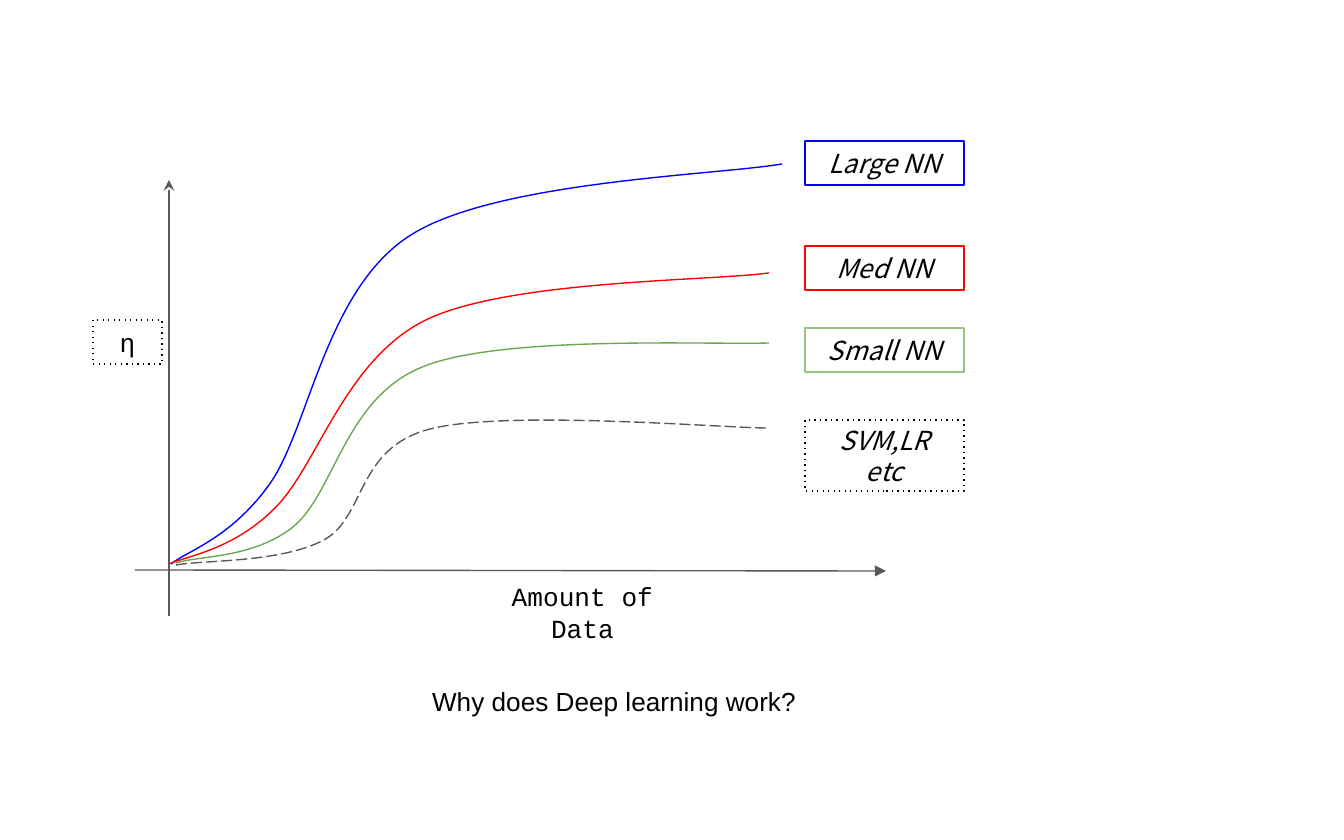
from lxml.etree import SubElement
from pptx import Presentation
from pptx.dml.color import RGBColor
from pptx.enum.shapes import MSO_CONNECTOR as Link, MSO_SHAPE as Kind
from pptx.enum.text import MSO_ANCHOR as Anchor, PP_ALIGN as Align
from pptx.oxml.ns import qn
from pptx.util import Pt

SCALE = 914400 / 134.4
BLACK = RGBColor(0x00, 0x00, 0x00)
GRAY = RGBColor(0x59, 0x59, 0x59)
BLUE = RGBColor(0x00, 0x00, 0xFF)
RED = RGBColor(0xFF, 0x00, 0x00)
GREEN = RGBColor(0x6A, 0xA8, 0x4F)
LIME = RGBColor(0x93, 0xC4, 0x7D)
SANS, MONO, NOTO = "Arial", "Courier New", "Noto Sans CJK KR"

# Each curve: start point, then two controls and an end per Bezier piece
CURVES = [
    (BLUE, None, [(171, 564), (187, 551), (230, 539), (269, 485), (309, 430),
                  (325, 289), (411, 235), (496, 181), (720, 175), (782, 164)]),
    (RED, None, [(169, 564), (187, 556), (233, 550), (274, 509), (317, 468),
                 (344, 360), (426, 320), (508, 280), (712, 281), (769, 273)]),
    (GREEN, None, [(176, 563), (195, 556), (253, 559), (293, 527), (335, 493),
                   (345, 396), (425, 366), (504, 335), (712, 345), (769, 343)]),
    (GRAY, "lgDash", [(176, 565), (202, 560), (281, 563), (324, 540), (366, 517),
                      (356, 448), (430, 429), (504, 410), (710, 427), (766, 428)]),
]
MODELS = [
    ("Large NN", 141, 44, BLUE, None),
    ("Med NN", 246, 44, RED, None),
    ("Small NN", 328, 44, LIME, None),
    ("SVM,LR etc", 420, 71, BLACK, "dot"),
]


def px(n):
    return round(n * SCALE)


class Plot:
    def __init__(self, slide):
        self.slide = slide
        self.shapes = slide.shapes
        self.size = Pt(14)
        self.width = Pt(0.75)
        self.inset = px(13)

    def stroke(self, shape, color, dash=None, tip=None):
        shape.line.color.rgb = color
        shape.line.width = self.width
        props = shape._element.spPr
        ln = props.find(qn("a:ln"))
        if dash:
            SubElement(ln, qn("a:prstDash"), val=dash)
        if tip:
            SubElement(ln, qn("a:tailEnd"), type=tip)
        SubElement(props, qn("a:effectLst"))

    def axis(self, start, end, tip):
        line = self.shapes.add_connector(
            Link.STRAIGHT, *map(px, start + end))
        self.stroke(line, GRAY, tip=tip)

    def curve(self, points, color, dash):
        """Draw a freeform whose points are joined as cubic Beziers."""
        first, *rest = points
        pen = self.shapes.build_freeform(*map(px, first))
        pen.add_line_segments([(px(x), px(y)) for x, y in rest], close=False)
        shape = pen.convert_to_shape()
        track = next(shape._element.iter(qn("a:path")))
        steps = track.findall(qn("a:lnTo"))
        for i in range(0, len(steps), 3):
            bend = SubElement(track, qn("a:cubicBezTo"))
            for step in steps[i:i + 3]:
                bend.append(step[0])
                track.remove(step)
        shape.fill.background()
        self.stroke(shape, color, dash)

    def put(self, shape, text, font, align=Align.CENTER,
            anchor=Anchor.MIDDLE, italic=False):
        """Set the text of a shape and its format."""
        frame = shape.text_frame
        form = {"word_wrap": True, "vertical_anchor": anchor}
        for side in ("left", "top", "right", "bottom"):
            form["margin_" + side] = self.inset
        for key, val in form.items():
            setattr(frame, key, val)
        para = frame.paragraphs[0]
        para.alignment = align
        run = para.add_run()
        run.text = text
        look = {"name": font, "size": self.size, "italic": italic}
        for key, val in look.items():
            setattr(run.font, key, val)
        run.font.color.rgb = BLACK

    def box(self, area, text, font, color, dash=None, italic=False):
        shape = self.shapes.add_shape(Kind.RECTANGLE, *map(px, area))
        shape.fill.background()
        self.stroke(shape, color, dash)
        self.put(shape, text, font, italic=italic)

    def label(self, area, text, font, **form):
        self.put(self.shapes.add_textbox(*map(px, area)), text, font, **form)


def main():
    deck = Presentation()
    deck.slide_width, deck.slide_height = px(1344), px(840)
    plot = Plot(deck.slides.add_slide(deck.slide_layouts[6]))

    plot.axis((169, 616), (169, 180), "stealth")
    plot.axis((135, 570), (886, 571), "triangle")
    for color, dash, points in CURVES:
        plot.curve(points, color, dash)
    for text, top, high, color, dash in MODELS:
        plot.box((805, top, 159, high), text, NOTO, color, dash, italic=True)
    plot.box((93, 320, 69, 44), "η", MONO, BLACK, "dot")
    plot.label((469, 586, 227, 52), "Amount of Data", MONO)
    plot.label((419, 672, 446, 75), "Why does Deep learning work?", SANS,
               align=Align.LEFT, anchor=Anchor.TOP)
    deck.save("out.pptx")


if __name__ == "__main__":
    main()
